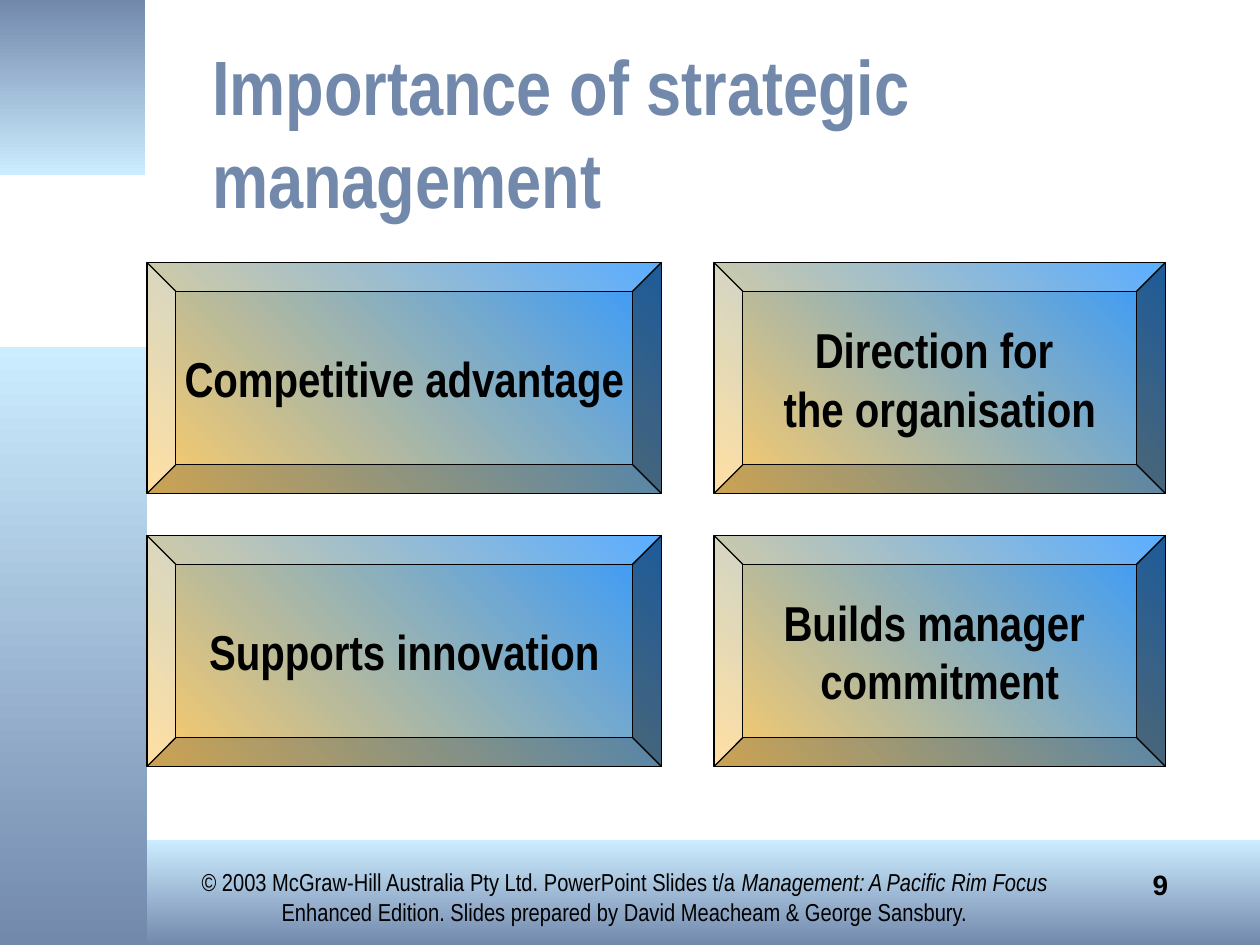
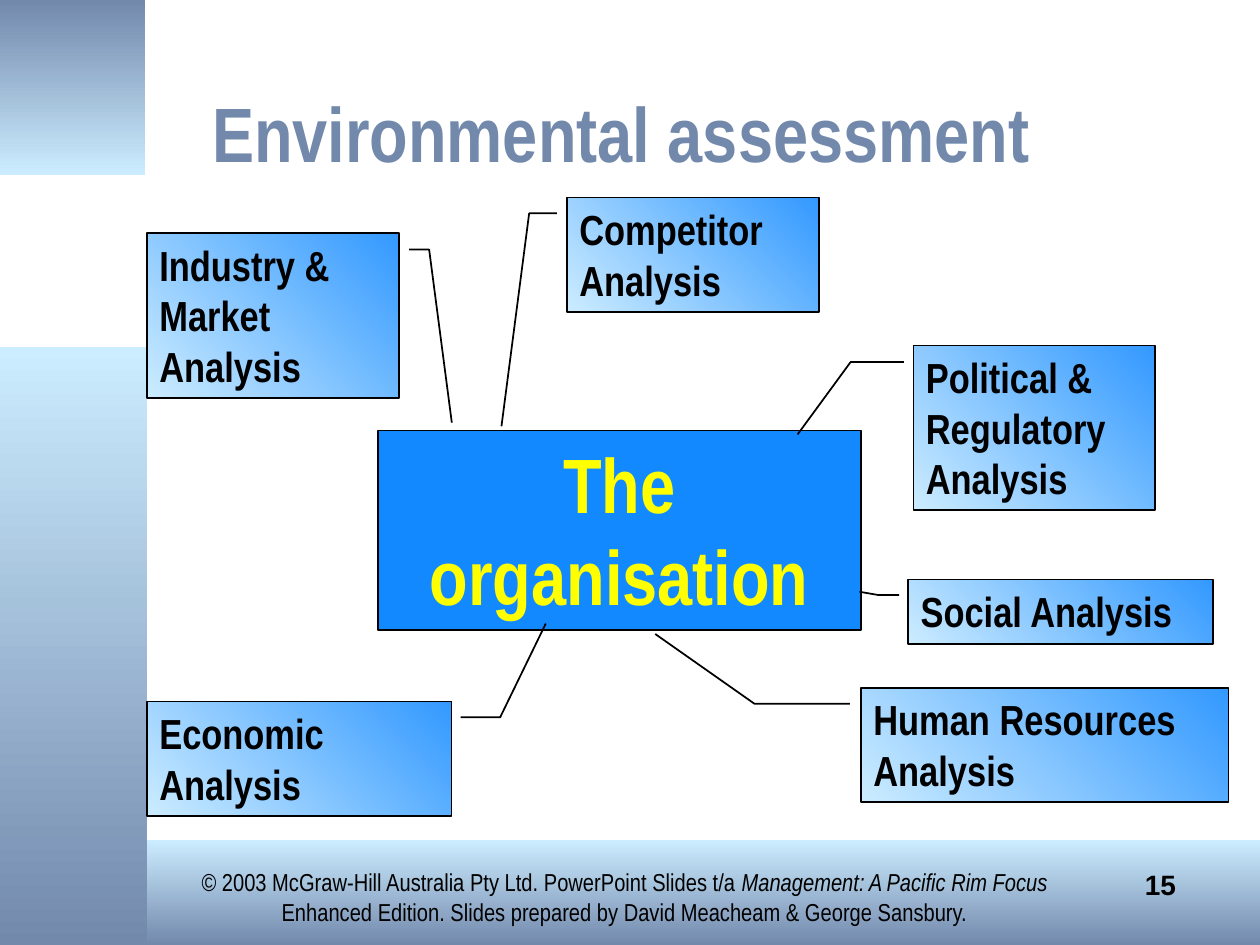
from pptx import Presentation
from pptx.dml.color import RGBColor
from pptx.enum.shapes import MSO_SHAPE as Kind
from pptx.enum.text import MSO_ANCHOR as Anchor, MSO_AUTO_SIZE as Auto, PP_ALIGN as Align
from pptx.util import Inches, Pt

# Palette and type
hue = RGBColor.from_string
ICE, SLATE, GOLD, BLUE = "CCECFF", "7289AC", "FFCC66", "3399FF"
DEEP, YELLOW, BLACK = "1389FF", "FFFF00", "000000"
NARROW = "Arial Narrow"

# Grid of 120 columns by 90 rows
deck = Presentation()
deck.slide_width, deck.slide_height = Inches(10), Inches(7.5)
CELL = deck.slide_width / 120


def write(frame, paras, size, tint=BLACK, align=Align.LEFT, bold=True,
          face=NARROW, anchor=Anchor.TOP, fit=Auto.NONE, wrap=True):
    """Fill a frame; each paragraph is a list of (text, italic) runs."""
    frame.word_wrap, frame.auto_size = wrap, fit
    frame.vertical_anchor = anchor
    for i, runs in enumerate(paras):
        para = frame.add_paragraph() if i else frame.paragraphs[0]
        para.alignment = align
        for text, slant in runs:
            run = para.add_run()
            run.text = text
            font = run.font
            font.name, font.size = face, Pt(size)
            font.bold, font.italic = bold, slant
            font.color.rgb = hue(tint)


def draw(slide, kind, place, tints, angle=45, width=0):
    """Add a shape on the grid with a plain or two-colour fill."""
    shape = slide.shapes.add_shape(kind, *[round(n * CELL) for n in place])
    shape.shadow.inherit = False
    if len(tints) == 1:
        shape.fill.solid()
        shape.fill.fore_color.rgb = hue(tints[0])
    else:
        shape.fill.gradient()
        shape.fill.gradient_angle = angle
        for stop, tint in zip(shape.fill.gradient_stops, tints):
            stop.color.rgb = hue(tint)
    if width:
        shape.line.color.rgb = hue(BLACK)
        shape.line.width = Pt(width)
    else:
        shape.line.fill.background()
    return shape


# Slides with title, footer and number
credit = [("© 2003 McGraw-Hill Australia Pty Ltd. PowerPoint Slides t/a ", False),
          ("Management: A Pacific Rim Focus", True),
          (" Enhanced Edition. Slides prepared by David Meacheam & George Sansbury.", False)]
pages = []
for name, number in [("Importance of strategic management", "9"),
                     ("Environmental assessment", "15")]:
    slide = deck.slides.add_slide(deck.slide_layouts[5])
    title = slide.shapes.title
    title.left, title.top, title.width, title.height = [
        round(n * CELL) for n in (19, 5, 96, 15)]
    write(title.text_frame, [[(name, False)]], 44, SLATE, anchor=Anchor.MIDDLE)
    for place, runs, size, bold, face in [
            ((15, 82, 89, 6), credit, 14, False, NARROW),
            ((106, 82, 9, 6), [(number, False)], 16, True, "Arial")]:
        area = slide.shapes.add_textbox(*[round(n * CELL) for n in place])
        write(area.text_frame, [runs], size, align=Align.CENTER, bold=bold, face=face)
    pages.append(slide)
first, second = pages

# Shared bands, moved to the master behind everything
bands = [((0, 80, 120, 10), (ICE, SLATE)),
         ((0, 0, 13.8, 16.7), (SLATE, ICE)),
         ((0, 33, 14, 57), (ICE, SLATE))]
tree = deck.slide_master.shapes.element
for i, (place, tints) in enumerate(bands):
    band = draw(first, Kind.RECTANGLE, place, tints, angle=270).element
    band.nvSpPr.cNvPr.set("id", str(100 + i))
    tree.insert(2 + i, band)

# Slide 1: two by two bevelled tiles
tiles = [[["Competitive advantage"], ["Direction for ", "the organisation"]],
         [["Supports innovation"], ["Builds manager ", "commitment"]]]
for top, row in zip((25, 51), tiles):
    for (left, wide), lines in zip(((14, 49), (68, 43)), row):
        tile = draw(first, Kind.BEVEL, (left, top, wide, 22), (GOLD, BLUE), width=0.75)
        tile.adjustments[0] = 0.125
        write(tile.text_frame, [[(line, False)] for line in lines], 28,
              align=Align.CENTER, anchor=Anchor.MIDDLE, wrap=False)

# Slide 2: the organisation in the centre
core = draw(second, Kind.RECTANGLE, (36, 41, 46, 19), (DEEP,), width=1)
write(core.text_frame, [[("The organisation", False)]], 44, YELLOW,
      align=Align.CENTER, fit=Auto.SHAPE_TO_FIT_TEXT)

# Callouts: height by line count; leader as start y, then x, bend x, end y, end x
tall = {1: 6.1, 2: 10.9, 3: 15.7}
notes = [
    ("Social Analysis", 86.5, 55.2, 29, 1, (0.243, -0.034, -0.096, 0.193, -0.162)),
    ("Political & Regulatory Analysis", 87, 32.9, 23, 3,
     (0.095, -0.043, -0.259, 0.54, -0.485)),
    ("Human Resources Analysis", 82, 65.5, 35, 2,
     (0.137, -0.029, -0.293, -0.47, -0.565)),
    ("Industry & Market Analysis", 14, 22.2, 24, 3,
     (0.095, 1.042, 1.125, 1.147, 1.213)),
    ("Competitor Analysis", 54, 18.8, 24, 2, (0.137, -0.042, -0.148, 2.004, -0.255)),
    ("Economic Analysis", 14, 66.8, 29, 2, (0.137, 1.034, 1.164, -0.681, 1.306)),
]
for text, left, top, wide, lines, (y, x, bend, low, end) in notes:
    note = draw(second, Kind.LINE_CALLOUT_2, (left, top, wide, tall[lines]),
                (ICE, BLUE), width=1)
    for i, share in enumerate((y, x, y, bend, low, end)):
        note.adjustments[i] = round(share, 2)
    write(note.text_frame, [[(text, False)]], 24, fit=Auto.SHAPE_TO_FIT_TEXT)

deck.save("out.pptx")
